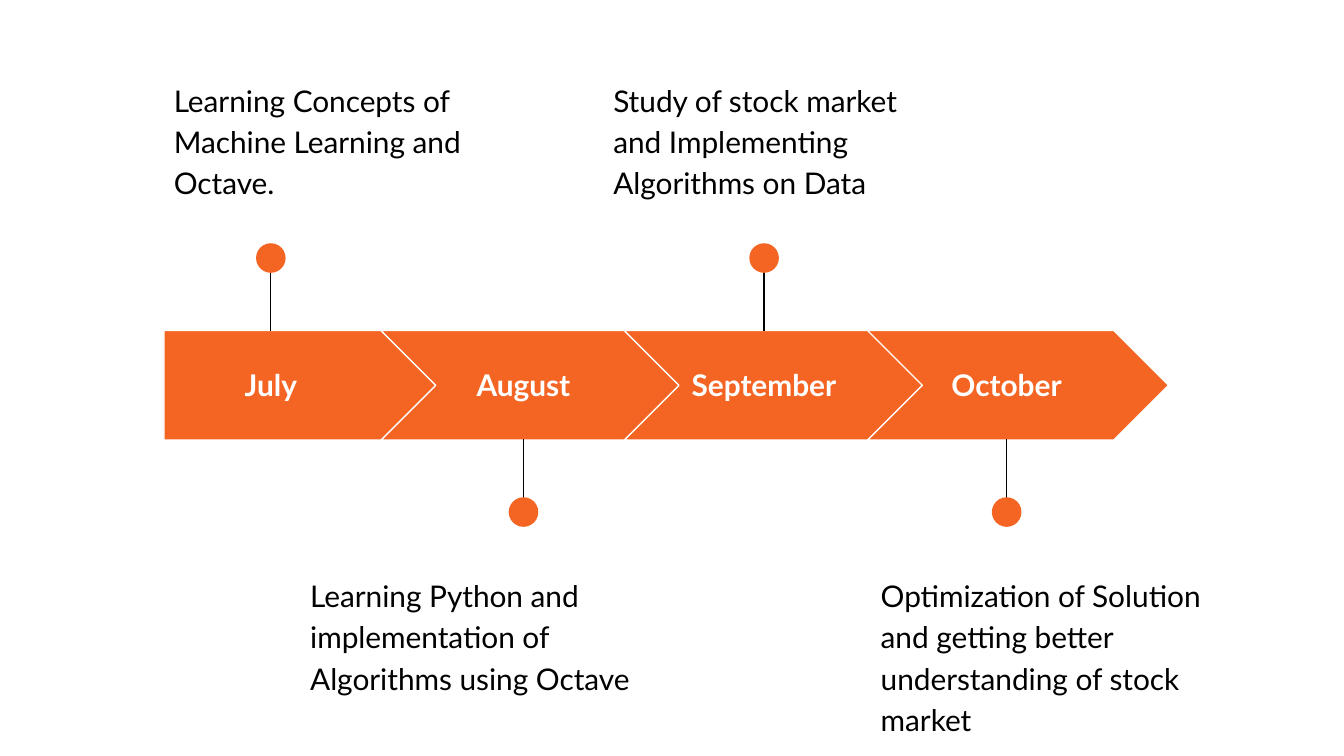
import pptx
import pptx.dml.color
import pptx.enum.shapes
import pptx.enum.text
import pptx.oxml
import pptx.util

SCALE = 4572  # EMU per px, 200 px to the inch
FONT = "Lato"
ORANGE, WHITE, BLACK = "F46524", "FFFFFF", "000000"

BAND_TOP, BAND_HEIGHT = 492, 163
CHEVRON_LEFT, CHEVRON_STEP, CHEVRON_WIDTH = 567, 362, 448
DOT = 44

# month, pin centre, label width, note left, note width, note
STEPS = [
    ("July", 403, 318, 239, 490,
     "Learning Concepts of Machine Learning and Octave."),
    ("August", 779, 288, 442, 528,
     "Learning Python and implementation of Algorithms using Octave"),
    ("September", 1137, 288, 893, 490,
     "Study of stock market and Implementing Algorithms on Data"),
    ("October", 1498, 288, 1291, 592,
     "Optimization of Solution and getting better understanding of stock market"),
]


def px(*lengths):
    return [pptx.util.Emu(length * SCALE) for length in lengths]


def color(hex_string):
    return pptx.dml.color.RGBColor.from_string(hex_string)


def add_filled_shape(slide, kind, box, line=None):
    shape = slide.shapes.add_shape(kind, *px(*box))
    shape.shadow.inherit = False
    shape.fill.solid()
    shape.fill.fore_color.rgb = color(ORANGE)
    if line:
        shape.line.color.rgb = color(line)
        shape.line.width = pptx.util.Pt(0.75)
    else:
        shape.line.fill.background()
    return shape


def add_text(slide, text, box, text_color, bold=False):
    text_frame = slide.shapes.add_textbox(*px(*box)).text_frame
    text_frame.word_wrap = True
    text_frame.margin_left, text_frame.margin_right = px(20, 20)
    text_frame.margin_top, text_frame.margin_bottom = px(20, 20)
    text_frame.text = text
    font = text_frame.paragraphs[0].runs[0].font
    font.name = FONT
    font.size = pptx.util.Pt(16)
    font.bold = bold
    font.color.rgb = color(text_color)
    return text_frame


def add_band(slide, index):
    kinds = pptx.enum.shapes.MSO_SHAPE
    if index == 0:
        kind, left, width = kinds.PENTAGON, 244, 410
    else:
        kind, width = kinds.CHEVRON, CHEVRON_WIDTH
        left = CHEVRON_LEFT + (index - 1) * CHEVRON_STEP
    band = add_filled_shape(slide, kind, (left, BAND_TOP, width, BAND_HEIGHT), WHITE)
    band.adjustments[0] = 0.5


def add_label(slide, month, center, width):
    text_frame = add_text(slide, month, (center - width // 2, 522, width, 102), WHITE, bold=True)
    text_frame.vertical_anchor = pptx.enum.text.MSO_ANCHOR.MIDDLE
    text_frame.paragraphs[0].alignment = pptx.enum.text.PP_ALIGN.CENTER


def add_pin(slide, center, above):
    start, end, dot_top = (370, 492, 362) if above else (774, 654, 740)
    line = slide.shapes.add_connector(
        pptx.enum.shapes.MSO_CONNECTOR.STRAIGHT, *px(center, start, center, end))
    line.line.color.rgb = color(BLACK)
    line.line.width = pptx.util.Pt(0.75)
    line.element.spPr.append(pptx.oxml.parse_xml(
        '<a:effectLst xmlns:a="http://schemas.openxmlformats.org/drawingml/2006/main"/>'))
    add_filled_shape(slide, pptx.enum.shapes.MSO_SHAPE.OVAL,
                     (center - DOT // 2, dot_top, DOT, DOT))


def add_note(slide, text, left, width, above):
    text_frame = add_text(slide, text, (left, 95 if above else 832, width, 198), BLACK)
    paragraph = text_frame.paragraphs[0]
    paragraph.line_spacing = 1.15
    paragraph.space_after = pptx.util.Pt(16)


def main():
    presentation = pptx.Presentation()
    presentation.slide_width, presentation.slide_height = px(2000, 1125)
    slide = presentation.slides.add_slide(presentation.slide_layouts[6])

    # Timeline: notes alternate above and below the band
    for index, (month, center, label_width, left, width, note) in enumerate(STEPS):
        above = index % 2 == 0
        add_band(slide, index)
        add_label(slide, month, center, label_width)
        add_pin(slide, center, above)
        add_note(slide, note, left, width, above)

    presentation.save("out.pptx")


if __name__ == "__main__":
    main()
